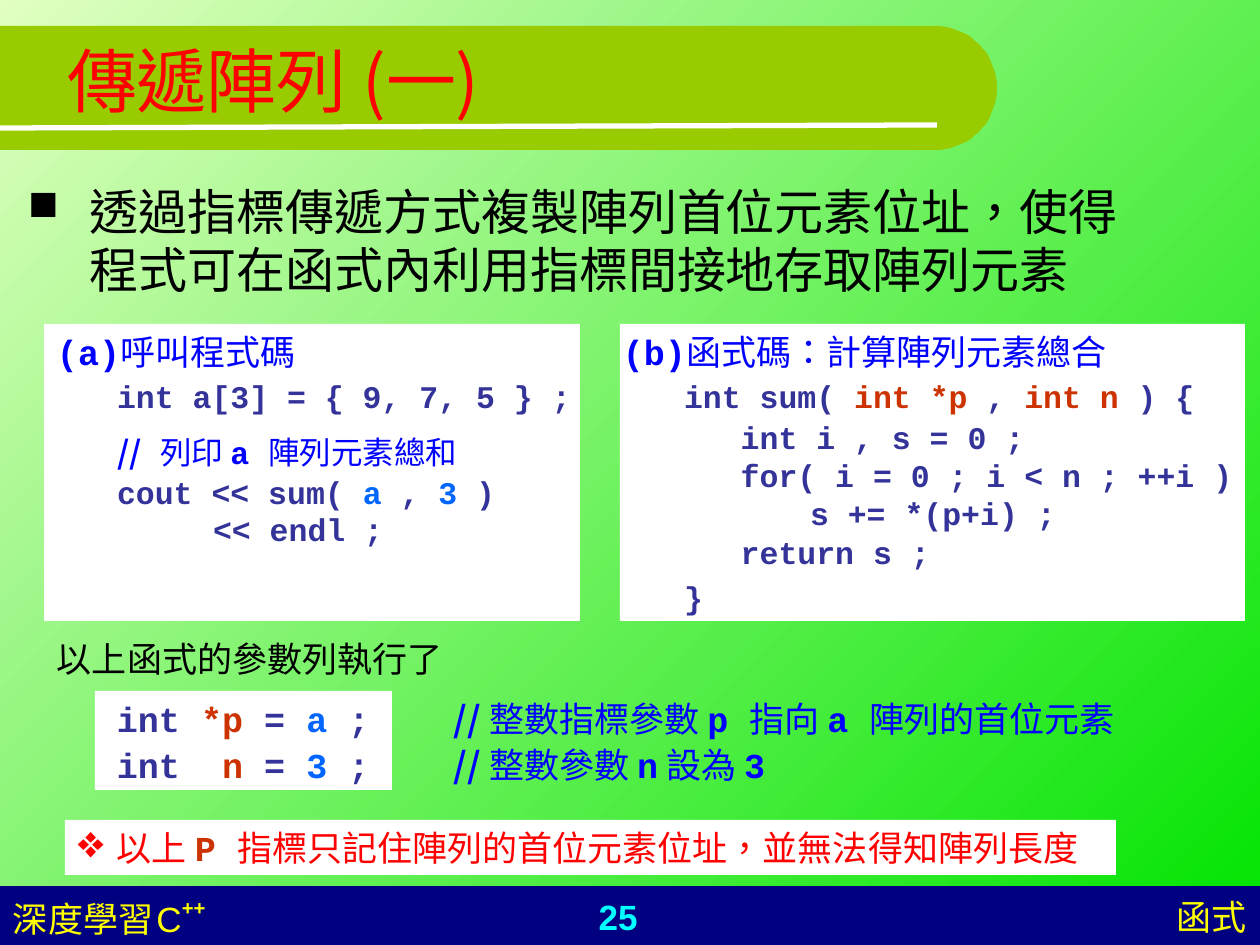
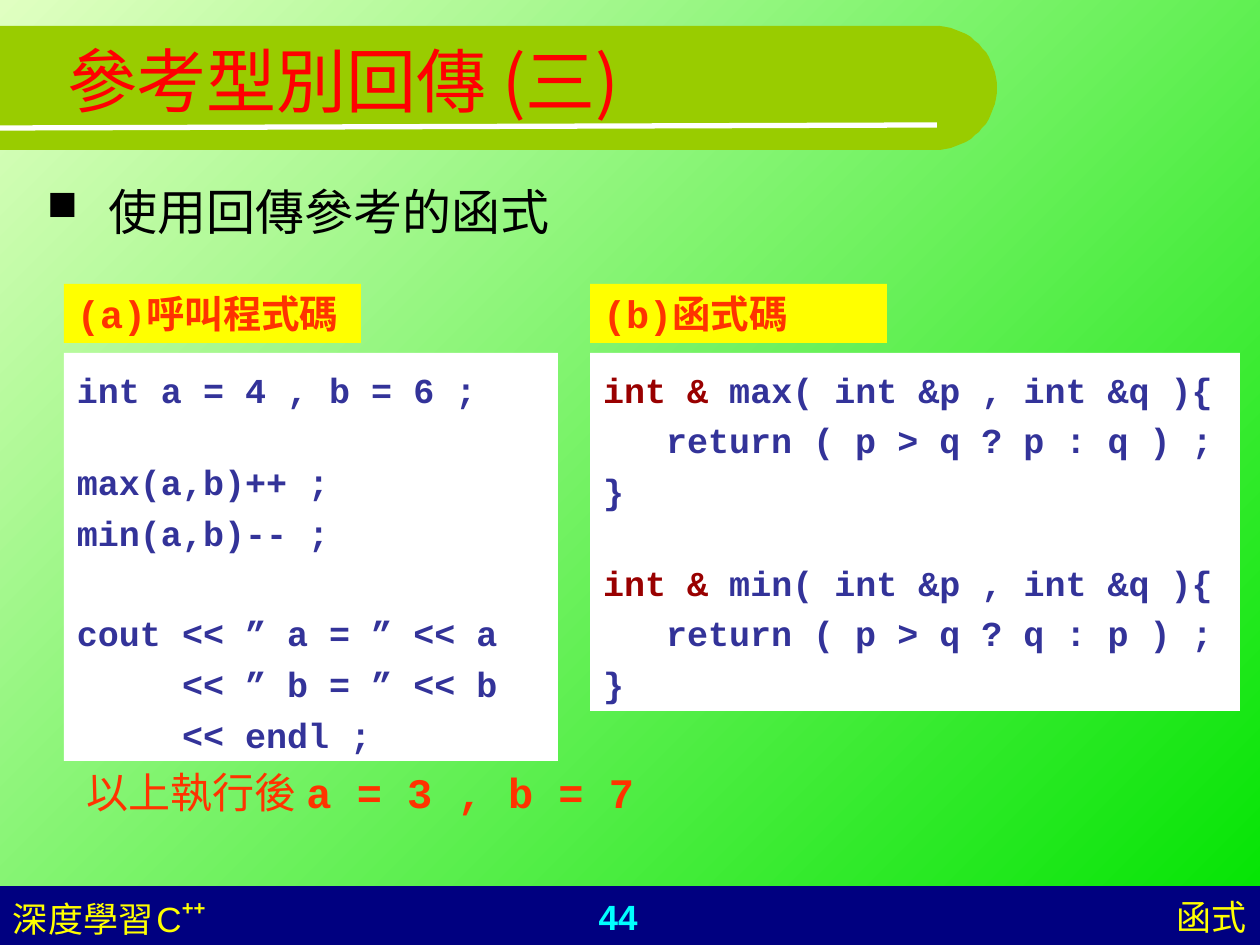
"""Builds two lecture slides on passing arrays and returning references."""
import dataclasses
import math

import lxml.etree
import pptx
import pptx.dml.color
import pptx.enum.lang
import pptx.enum.shapes
import pptx.enum.text
import pptx.oxml.ns
import pptx.util


@dataclasses.dataclass(frozen=True)
class Theme:
    sans: str = "Arial"
    mono: str = "Courier New"
    cjk: str = "Noto Sans CJK SC"
    sky: str = "E0FFC1"
    grass: str = "00E400"
    band: str = "99CC00"
    navy: str = "000080"
    white: str = "FFFFFF"
    yellow: str = "FFFF00"
    cyan: str = "00FFFF"
    black: str = "000000"
    red: str = "FF0000"
    orange: str = "FF3300"
    code: str = "333399"
    comment: str = "0000FF"
    argument: str = "0066FF"
    parameter: str = "CC3300"
    reference: str = "990000"
    title_size: int = 40
    point_size: int = 28
    result_size: int = 24
    label_size: int = 22
    text_size: int = 20
    code_size: int = 18
    gap_size: int = 8


theme = Theme()
RGB = pptx.dml.color.RGBColor.from_string
ALIGN = pptx.enum.text.PP_ALIGN
SHAPE = pptx.enum.shapes.MSO_SHAPE
SCALE = 914400 / 126
PX_PER_PT = 1.75
qn = pptx.oxml.ns.qn


def write(frame, lines, leading=None, top=0, left=13, align=ALIGN.LEFT, bullet=None):
    """Fill a frame with (gap, indent, runs) lines; a run is text, font, size, colour, bold."""
    frame.word_wrap = True
    frame.auto_size = pptx.enum.text.MSO_AUTO_SIZE.NONE
    frame.margin_left, frame.margin_right = int(left * SCALE), int(13 * SCALE)
    frame.margin_top, frame.margin_bottom = int(top * SCALE), 0
    for number, (gap, indent, runs) in enumerate(lines):
        paragraph = frame.add_paragraph() if number else frame.paragraphs[0]
        properties = paragraph._p.get_or_add_pPr()
        properties.set("marL", str(int(indent * SCALE)))
        properties.set("indent", str(int(-indent * SCALE) if bullet else 0))
        if bullet:
            mark, percent = bullet
            tint = lxml.etree.SubElement(properties, qn("a:buClr"))
            lxml.etree.SubElement(tint, qn("a:srgbClr")).set("val", runs[0][3])
            lxml.etree.SubElement(properties, qn("a:buSzPct")).set("val", str(percent * 1000))
            lxml.etree.SubElement(properties, qn("a:buChar")).set("char", mark)
        paragraph.alignment = align
        paragraph.space_before = pptx.util.Pt(round(gap / PX_PER_PT, 1))
        if leading:
            paragraph.line_spacing = pptx.util.Pt(round(leading / PX_PER_PT, 1))
        for text, face, size, colour, bold in runs:
            run = paragraph.add_run()
            run.text = text
            run.font.name, run.font.bold = face, bold
            run.font.size = pptx.util.Pt(size)
            run.font.color.rgb = RGB(colour)
            run.font.language_id = pptx.enum.lang.MSO_LANGUAGE_ID.TRADITIONAL_CHINESE


def panel(slide, box, fill=None, lines=(), **layout):
    """Add a filled rectangle or a plain text box, with its lines."""
    place = [int(length * SCALE) for length in box]
    if fill:
        area = slide.shapes.add_shape(SHAPE.RECTANGLE, *place)
        area.shadow.inherit = False
        area.fill.solid()
        area.fill.fore_color.rgb = RGB(fill)
        area.line.fill.background()
        area.text_frame.vertical_anchor = pptx.enum.text.MSO_ANCHOR.TOP
    else:
        area = slide.shapes.add_textbox(*place)
    if lines:
        write(area.text_frame, lines, **layout)
    return area


deck = pptx.Presentation()
deck.slide_width, deck.slide_height = int(1260 * SCALE), int(945 * SCALE)
backdrop = deck.slide_master.background.fill
backdrop.gradient()
backdrop.gradient_angle = 315
for stop, colour in zip(backdrop.gradient_stops, (theme.sky, theme.grass)):
    stop.color.rgb = RGB(colour)

footer_text = (theme.sans, theme.text_size, theme.yellow, False)
title_text = (theme.title_size, theme.red, False)
point_text = (theme.mono, theme.point_size, theme.black, False)
band_edge = [(935 + 62 * math.sin(math.radians(turn)), 88 - 62 * math.cos(math.radians(turn)))
             for turn in range(0, 181, 5)]

topics = [
    ("傳遞陣列 ", "(一)", "25", (15, 175, 1134, 134),
     "透過指標傳遞方式複製陣列首位元素位址，使得程式可在函式內利用指標間接地存取陣列元素"),
    ("參考型別回傳 ", "(三)", "44", (34, 175, 834, 83), "使用回傳參考的函式"),
]
slides = []
for topic, part, page, point_box, point in topics:
    slide = deck.slides.add_slide(deck.slide_layouts[5])
    slides.append(slide)
    panel(slide, (0, 886, 1260, 59), theme.navy)

    outline = slide.shapes.build_freeform(0, 26, scale=SCALE)
    outline.add_line_segments([*band_edge, (0, 150)])
    band = outline.convert_to_shape()
    band.shadow.inherit = False
    band.fill.solid()
    band.fill.fore_color.rgb = RGB(theme.band)
    band.line.fill.background()

    underline = slide.shapes.add_connector(
        pptx.enum.shapes.MSO_CONNECTOR.STRAIGHT,
        *[int(length * SCALE) for length in (0, 128, 937, 125)])
    underline.line.color.rgb = RGB(theme.white)
    underline.line.width = pptx.util.Pt(3)
    lxml.etree.SubElement(underline._element.spPr, qn("a:effectLst"))

    panel(slide, (471, 890, 294, 55), None,
          [(0, 0, [(page, theme.sans, theme.text_size, theme.cyan, True)])],
          leading=36, top=11, align=ALIGN.CENTER)
    panel(slide, (828, 890, 432, 55), None, [(0, 0, [("函式", *footer_text)])],
          leading=36, top=11, align=ALIGN.RIGHT)
    course = panel(slide, (0, 890, 294, 55), None, [(0, 0, [
        ("深度學習", *footer_text), (" ", theme.sans, theme.gap_size, theme.yellow, False),
        ("C", *footer_text), ("++", theme.sans, theme.text_size, theme.yellow, True)])],
        leading=36, top=13)
    plus_signs = course.text_frame.paragraphs[0].runs[-1]
    plus_signs.font._element.set("baseline", "46000")

    title = slide.shapes.title
    underline._element.addnext(title._element)
    title.left, title.top, title.width, title.height = [
        int(length * SCALE) for length in (54, 0, 1134, 158)]
    title.text_frame.vertical_anchor = pptx.enum.text.MSO_ANCHOR.MIDDLE
    write(title.text_frame, [(0, 0, [(topic, theme.sans, *title_text),
                                     (part, theme.cjk, *title_text)])])
    panel(slide, point_box, None, [(0, 62, [(point, *point_text)])],
          leading=58, top=7, bullet=("■", 85))

arrays, references = slides

code = (theme.mono, theme.code_size, theme.code, True)
argument = (theme.mono, theme.code_size, theme.argument, True)
parameter = (theme.mono, theme.code_size, theme.parameter, True)
slashes = (theme.cjk, theme.code_size, theme.comment, True)
remark = (theme.mono, theme.code_size, theme.comment, False)
remark_code = (theme.mono, theme.code_size, theme.comment, True)
big_code = (theme.mono, theme.text_size, theme.code, True)
big_argument = (theme.mono, theme.text_size, theme.argument, True)
big_parameter = (theme.mono, theme.text_size, theme.parameter, True)
big_slashes = (theme.cjk, theme.text_size, theme.comment, True)
big_remark = (theme.mono, theme.text_size, theme.comment, False)
big_remark_cjk = (theme.cjk, theme.text_size, theme.comment, False)
big_remark_code = (theme.mono, theme.text_size, theme.comment, True)
note = (theme.mono, theme.text_size, theme.black, False)
warning = (theme.mono, theme.text_size, theme.red, False)

caller = [
    (0, 0, [("int a[3] = { 9, 7, 5 } ;", *code)]),
    (20, 0, [("//", *slashes), (" 列印 ", *remark), ("a ", *remark_code),
             ("陣列元素總和", *remark)]),
    (4, 0, [("cout << sum( ", *code), ("a", *argument), (" , ", *code),
            ("3", *argument), (" )", *code)]),
    (1, 96, [("<< endl ;", *code)]),
]
summing = [
    (0, 0, [("int sum( ", *code), ("int *p", *parameter), (" , ", *code),
            ("int n", *parameter), (" ) {", *code)]),
    (5, 0, [("   int i , s = 0 ;", *code)]),
    (2, 0, [("   for( i = 0 ; i < n ; ++i )", *code)]),
    (2, 126, [("s += *(p+i) ;", *code)]),
    (3, 0, [("   return s ;", *code)]),
    (8, 0, [("}", *code)]),
]
listings = [
    ((44, 324, 536, 297), (44, 324, 436, 55), "(a)", "呼叫程式碼", (104, 363, 496, 192), caller),
    ((620, 324, 625, 297), (610, 324, 539, 55), "(b)", "函式碼：計算陣列元素總合",
     (671, 363, 588, 258), summing),
]
for sheet, heading_box, letter, heading, code_box, lines in listings:
    panel(arrays, sheet, theme.white)
    panel(arrays, heading_box, None,
          [(0, 0, [(letter, *big_remark_code), (heading, *big_remark)])], leading=36, top=12)
    panel(arrays, code_box, None, lines, leading=36, top=16)

panel(arrays, (44, 631, 427, 55), None, [(0, 0, [("以上函式的參數列執行了", *note)])],
      leading=36, top=12)
panel(arrays, (95, 691, 297, 99), theme.white, [
    (0, 0, [("int ", *big_code), ("*p", *big_parameter), (" = ", *big_code),
            ("a", *big_argument), (" ;", *big_code)]),
    (10, 0, [("int  ", *big_code), ("n", *big_parameter), (" = ", *big_code),
             ("3", *big_argument), (" ;", *big_code)]),
], leading=36, top=12, left=22)
panel(arrays, (441, 691, 763, 99), None, [
    (0, 0, [("// ", *big_slashes), ("整數", *big_remark_cjk), ("指標參數 ", *big_remark),
            ("p ", *big_remark_code), ("指向 ", *big_remark), ("a ", *big_remark_code),
            ("陣列的首位元素", *big_remark)]),
    (10, 0, [("// ", *big_slashes), ("整數參數 ", *big_remark_cjk), ("n", *big_remark_code),
             (" 設為 ", *big_remark_cjk), ("3", *big_remark_code)]),
], leading=36, top=12)
panel(arrays, (65, 820, 1051, 55), theme.white, [
    (0, 39, [("以上 ", *warning), ("P ", *big_parameter),
             ("指標只記住陣列的首位元素位址，並無法得知陣列長度", *warning)]),
], leading=36, top=12, bullet=("❖", 130))

label = (theme.mono, theme.label_size, theme.orange, True)
returned = (theme.mono, theme.text_size, theme.reference, True)
calls = [(gap, 0, [(text, *big_code)]) for gap, text in [
    (0, "int a = 4 , b = 6 ;"),
    (56, "max(a,b)++ ;"),
    (15, "min(a,b)-- ;"),
    (64, "cout << ” a = ” << a"),
    (15, "     << ” b = ” << b"),
    (15, "     << endl ;"),
]]
choosers = []
for gap, name, choice in [(0, "max", "p : q"), (56, "min", "q : p")]:
    choosers += [
        (gap, 0, [("int &", *returned), (f" {name}( int &p , int &q ){{", *big_code)]),
        (14, 0, [(f"   return ( p > q ? {choice} ) ;", *big_code)]),
        (15, 0, [("}", *big_code)]),
    ]
for left, heading, width, height, lines in [
        (64, "(a)呼叫程式碼", 494, 408, calls), (590, "(b)函式碼", 650, 358, choosers)]:
    panel(references, (left, 284, 297, 59), theme.yellow, [(0, 0, [(heading, *label)])],
          leading=40, top=12)
    panel(references, (left, 353, width, height), theme.white, lines, leading=36, top=21)

panel(references, (74, 760, 645, 63), None, [(0, 0, [
    ("以上執行後 ", theme.mono, theme.result_size, theme.orange, False),
    ("a = 3 , b = 7", theme.mono, theme.result_size, theme.orange, True)])],
    leading=44, top=13)

deck.save("out.pptx")
